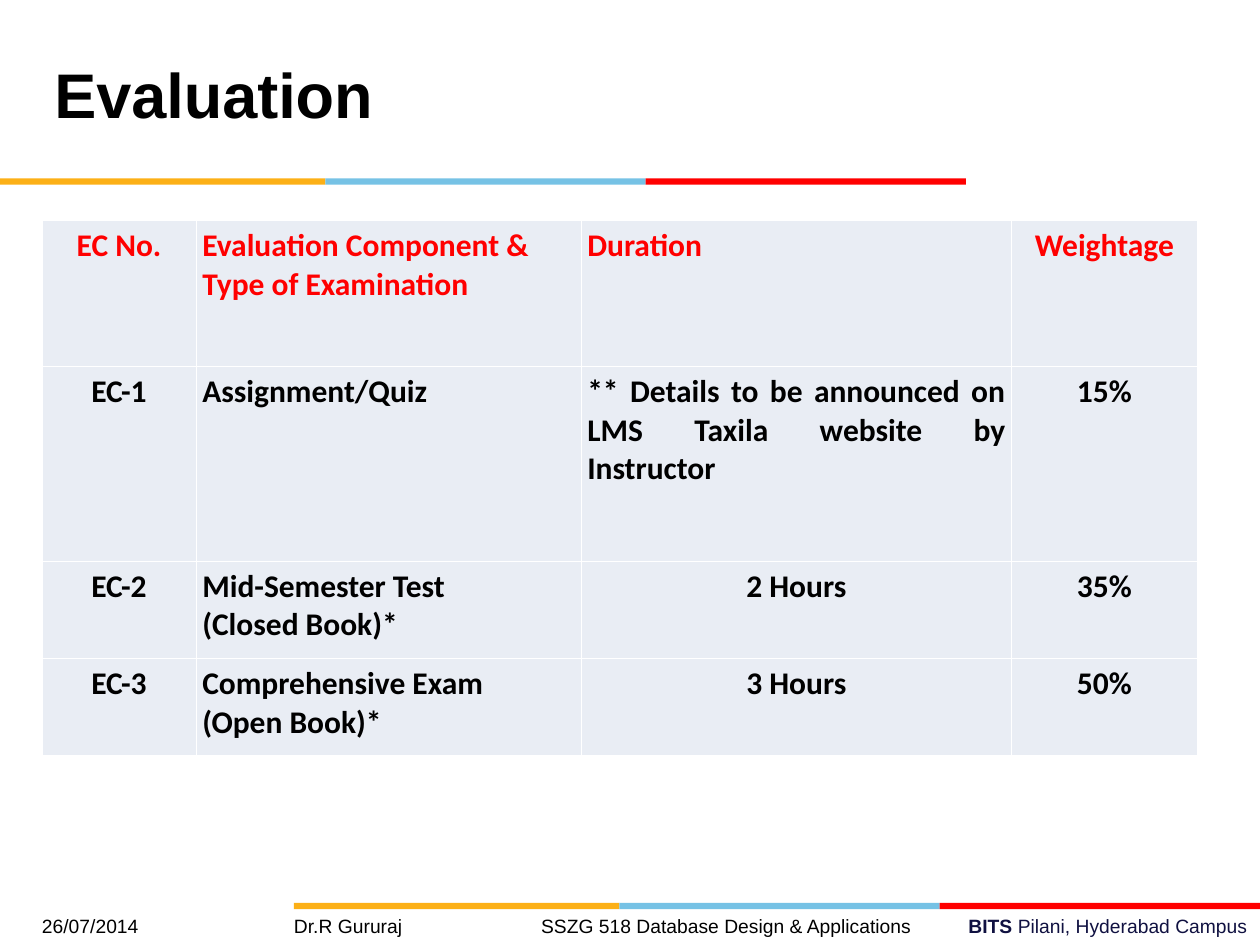
from lxml import etree
from pptx import Presentation
from pptx.dml.color import RGBColor
from pptx.enum import shapes, text
from pptx.oxml import ns
from pptx.util import Pt

GOLD = RGBColor(0xFC, 0xB0, 0x17)
SKY = RGBColor(0x76, 0xC2, 0xE5)
RED = RGBColor(0xFF, 0x00, 0x00)
BLACK = RGBColor(0x00, 0x00, 0x00)
NAVY = RGBColor(0x10, 0x11, 0x41)
WHITE = RGBColor(0xFF, 0xFF, 0xFF)
CELL_FILL = RGBColor(0xE9, 0xED, 0xF4)

LEFT, CENTER, RIGHT, JUSTIFY = (
    text.PP_ALIGN.LEFT, text.PP_ALIGN.CENTER, text.PP_ALIGN.RIGHT, text.PP_ALIGN.JUSTIFY)

COLUMN_WIDTHS = (88, 220, 246.2, 105.8)
ROW_HEIGHTS = (83.4, 111.2, 55.6, 55.6)
ROWS = (
    ("EC No.", "Evaluation Component &\nType of Examination", "Duration", "Weightage"),
    ("EC-1", "Assignment/Quiz",
     "** Details to be announced on LMS Taxila website by Instructor", "15%"),
    ("EC-2", "Mid-Semester Test\n(Closed Book)*", "2 Hours", "35%"),
    ("EC-3", "Comprehensive Exam\n(Open Book)*", "3 Hours", "50%"),
)
DURATION_ALIGNS = (LEFT, JUSTIFY, CENTER, CENTER)


def write_text(frame, content, size=18, font="Arial", color=BLACK, bold=False,
               align=LEFT, line_spacing=None, tabs=()):
    """Fill a text frame, one paragraph for each line of content."""
    for index, line in enumerate(content.split("\n")):
        paragraph = frame.paragraphs[0] if index == 0 else frame.add_paragraph()
        paragraph.alignment = align
        if line_spacing:
            paragraph.line_spacing = Pt(line_spacing)
        if tabs:
            tab_list = etree.SubElement(paragraph._p.get_or_add_pPr(), ns.qn("a:tabLst"))
            for position in tabs:
                etree.SubElement(tab_list, ns.qn("a:tab"), pos=str(Pt(position)), algn="l")
        add_run(paragraph, line, size, font, color, bold)


def add_run(paragraph, content, size, font, color, bold):
    run = paragraph.add_run()
    run.text = content
    run.font.size = Pt(size)
    run.font.name = font
    run.font.color.rgb = color
    run.font.bold = bold


def add_text_box(slide, left, top, width, height, content, margins=(7.2, 7.2),
                 anchor=text.MSO_ANCHOR.TOP, **text_format):
    box = slide.shapes.add_textbox(Pt(left), Pt(top), Pt(width), Pt(height))
    frame = box.text_frame
    frame.word_wrap = True
    frame.vertical_anchor = anchor
    frame.margin_left, frame.margin_right = (Pt(margin) for margin in margins)
    write_text(frame, content, **text_format)
    return box


def add_color_bar(slide, left, top):
    """Draw a strip of three coloured bands."""
    for color, width in ((GOLD, 186), (SKY, 183), (RED, 183)):
        band = slide.shapes.add_shape(
            shapes.MSO_SHAPE.RECTANGLE, Pt(left), Pt(top), Pt(width), Pt(3.6))
        band.shadow.inherit = False
        band.fill.solid()
        band.fill.fore_color.rgb = color
        band.line.fill.background()
        left += width


def style_cell(cell):
    """Give a cell thin white borders, then its fill and margins."""
    properties = cell._tc.get_or_add_tcPr()
    for side in ("lnL", "lnR", "lnT", "lnB"):
        line = etree.SubElement(properties, ns.qn(f"a:{side}"), w=str(Pt(0.45)))
        fill = etree.SubElement(line, ns.qn("a:solidFill"))
        etree.SubElement(fill, ns.qn("a:srgbClr"), val=str(WHITE))
    cell.fill.solid()
    cell.fill.fore_color.rgb = CELL_FILL
    cell.margin_left = cell.margin_right = Pt(3.6)
    cell.margin_top = cell.margin_bottom = Pt(3.6)


def add_evaluation_table(slide):
    table = slide.shapes.add_table(
        len(ROWS), len(COLUMN_WIDTHS), Pt(24), Pt(126),
        Pt(sum(COLUMN_WIDTHS)), Pt(sum(ROW_HEIGHTS))).table
    for column, width in zip(table.columns, COLUMN_WIDTHS):
        column.width = Pt(width)
    for row, height in zip(table.rows, ROW_HEIGHTS):
        row.height = Pt(height)
    for row_index, values in enumerate(ROWS):
        aligns = (CENTER, LEFT, DURATION_ALIGNS[row_index], CENTER)
        for column_index, value in enumerate(values):
            cell = table.cell(row_index, column_index)
            style_cell(cell)
            write_text(cell.text_frame, value, font="Calibri", bold=True,
                       color=RED if row_index == 0 else BLACK,
                       align=aligns[column_index])


def main():
    presentation = Presentation()
    presentation.slide_width, presentation.slide_height = Pt(720), Pt(540)
    slide = presentation.slides.add_slide(presentation.slide_layouts[6])

    # Colour bars under the title and above the footer
    add_color_bar(slide, 0, 102)
    add_color_bar(slide, 168, 516)

    # Campus name
    campus = add_text_box(slide, 258, 519, 462, 21, "BITS ", size=11, color=NAVY,
                          bold=True, align=RIGHT)
    add_run(campus.text_frame.paragraphs[0], "Pilani, Hyderabad Campus",
            11, "Arial", NAVY, False)

    # Evaluation scheme
    add_evaluation_table(slide)

    # Footer: date, lecturer and course
    add_text_box(slide, 14.4, 519, 515, 21,
                 "26/07/2014\tDr.R Gururaj\tSSZG 518 Database Design & Applications",
                 margins=(9.6, 0), size=11, tabs=(144, 285.2))

    # Title
    add_text_box(slide, 24, 12, 498, 90, "Evaluation", size=36, bold=True,
                 line_spacing=36, anchor=text.MSO_ANCHOR.MIDDLE)

    presentation.save("out.pptx")


if __name__ == "__main__":
    main()
